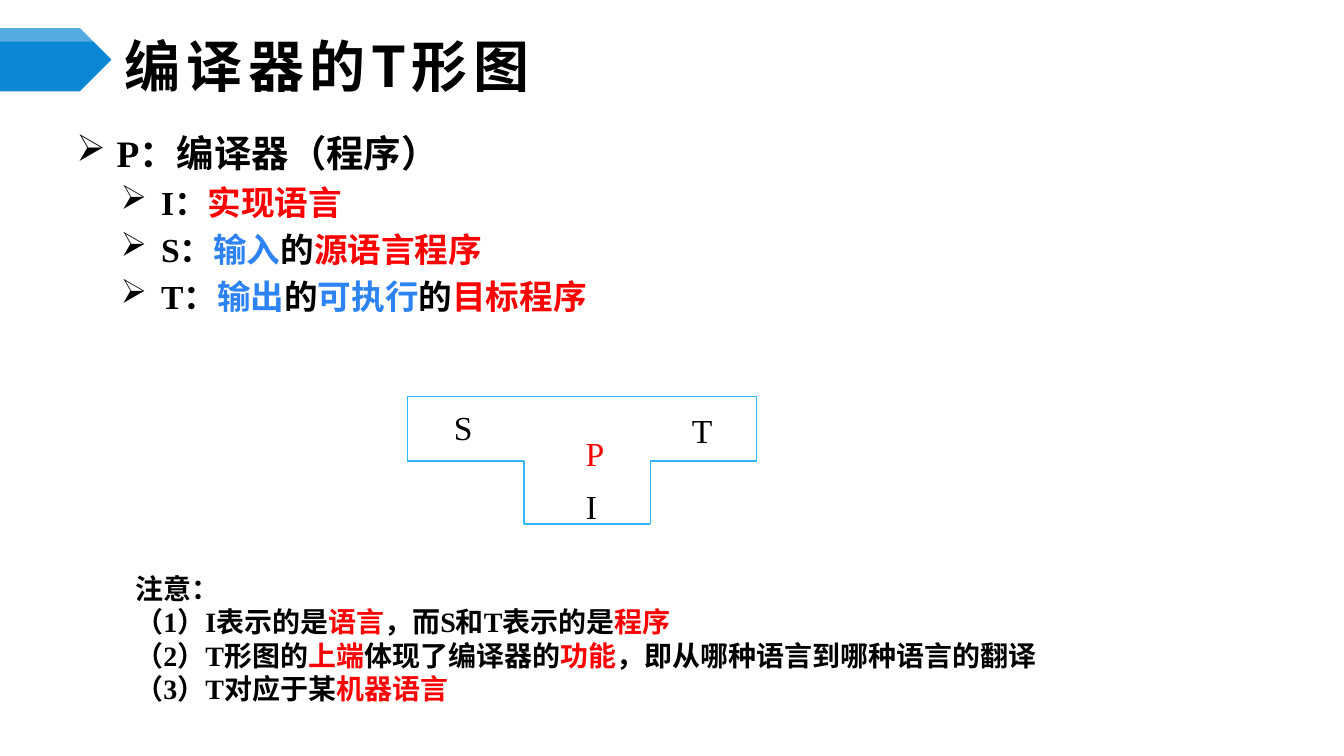
from lxml import etree
from pptx import Presentation
from pptx.dml.color import RGBColor
from pptx.enum.shapes import MSO_CONNECTOR, MSO_SHAPE
from pptx.enum.text import MSO_ANCHOR, MSO_AUTO_SIZE, PP_ALIGN
from pptx.oxml.ns import qn
from pptx.util import Emu, Pt

PX = 9144  # EMU per px, 100 px to the inch
TITLE_ONLY = 5
STRAIGHT = MSO_CONNECTOR.STRAIGHT
PENTAGON = MSO_SHAPE.PENTAGON
MIDDLE = MSO_ANCHOR.MIDDLE
NO_AUTOFIT = MSO_AUTO_SIZE.NONE
LEFT, JUSTIFY = PP_ALIGN.LEFT, PP_ALIGN.JUSTIFY

SERIF, SANS = "Times New Roman", "Noto Sans CJK SC"
NOTE_FONT = "Noto Sans"
BLACK = RGBColor(0x00, 0x00, 0x00)
RED = RGBColor(0xFF, 0x00, 0x00)
BLUE = RGBColor(0x2D, 0x83, 0xF4)
SKY = RGBColor(0x31, 0xB6, 0xFD)
BANNER = RGBColor(0x0B, 0x87, 0xD6)
WHITE = RGBColor(0xFF, 0xFF, 0xFF)

DEFINITIONS = [
    [("P：编译器（程序）", BLACK)],
    [("I：", BLACK), ("实现语言", RED)],
    [("S：", BLACK), ("输入", BLUE), ("的", BLACK), ("源语言程序", RED)],
    [("T：", BLACK), ("输出", BLUE), ("的", BLACK), ("可执行", BLUE),
     ("的", BLACK), ("目标程序", RED)],
]
NOTES = [
    [("注意：", BLACK)],
    [("（1）I表示的是", BLACK), ("语言", RED),
     ("，而S和T表示的是", BLACK), ("程序", RED)],
    [("（2）T形图的", BLACK), ("上端", RED), ("体现了编译器的", BLACK),
     ("功能", RED), ("，即从哪种语言到哪种语言的翻译", BLACK)],
    [("（3）T对应于某", BLACK), ("机器语言", RED)],
]

# Outline of the T, clockwise from its top left corner
T_OUTLINE = [(303, 295), (563, 295), (563, 343), (484, 343),
             (484, 390), (390, 390), (390, 343), (303, 343)]
T_LABELS = [("S", 328, 298, 34, BLACK), ("T", 505, 300, 36, BLACK),
            ("P", 426, 317, 34, RED), ("I", 426, 357, 29, BLACK)]


def px(*lengths):
    return [Emu(length * PX) for length in lengths]


def format_span(span, size, color, font=SERIF, bold=True):
    span.font.size = Pt(size)
    span.font.bold = bold
    span.font.name = font
    span.font.color.rgb = color
    east_asian = etree.SubElement(span.font._element, qn("a:ea"))
    east_asian.set("typeface", SANS)


def add_spans(para, spans, size, font=SERIF):
    para.line_spacing = Pt(size * 1.2)
    for text, color in spans:
        span = para.add_run()
        span.text = text
        format_span(span, size, color, font)


def add_arrow_bullet(para, indent, hanging):
    props = para._p.get_or_add_pPr()
    props.set("marL", str(indent * PX))
    props.set("indent", str(-hanging * PX))
    etree.SubElement(props, qn("a:buChar")).set("char", "➢")


def add_text_box(page, left, top, width, height, wrap=True):
    box = page.shapes.add_textbox(*px(left, top, width, height))
    box.text_frame.word_wrap = wrap
    return box.text_frame


def add_paragraphs(frame, count):
    return [frame.paragraphs[0]] + [frame.add_paragraph() for _ in range(count - 1)]


def paint(shape, color):
    shape.shadow.inherit = False
    shape.fill.solid()
    shape.fill.fore_color.rgb = color
    shape.line.fill.background()


def add_banner(page):
    paint(page.shapes.add_shape(PENTAGON, *px(0, 21, 83, 47)), BANNER)
    # Translucent highlight along the upper edge
    builder = page.shapes.build_freeform(0, 21, scale=PX)
    builder.add_line_segments([(60, 21), (70, 31), (0, 31)])
    highlight = builder.convert_to_shape()
    paint(highlight, WHITE)
    fill = highlight._element.spPr.find(qn("a:solidFill"))
    etree.SubElement(fill[0], qn("a:alpha")).set("val", "30000")


def set_title(page, text):
    title = page.shapes.title
    title.left, title.top, title.width, title.height = px(83, 29, 867, 39)
    frame = title.text_frame
    frame.text = text
    frame.auto_size = NO_AUTOFIT
    frame.vertical_anchor = MIDDLE
    para = frame.paragraphs[0]
    para.alignment = LEFT
    span = para.runs[0]
    format_span(span, 30, BLACK, SANS)
    span.font._element.set("spc", "300")


def add_definitions(page):
    frame = add_text_box(page, 47, 92, 847, 402)
    paras = add_paragraphs(frame, len(DEFINITIONS))
    for index, (para, spans) in enumerate(zip(paras, DEFINITIONS)):
        level, size, indent = (1, 18, 63) if index else (0, 20, 30)
        para.level = level
        para.alignment = JUSTIFY
        para.space_before = Pt(size * 0.2)
        add_spans(para, spans, size)
        add_arrow_bullet(para, indent, 30)


def add_line(page, start, end):
    line = page.shapes.add_connector(STRAIGHT, *px(*start, *end))
    line.line.color.rgb = SKY
    line.line.width = Pt(0.75)
    etree.SubElement(line._element.spPr, qn("a:effectLst"))


def add_t_diagram(page):
    for start, end in zip(T_OUTLINE, T_OUTLINE[1:] + T_OUTLINE[:1]):
        add_line(page, start, end)
    for text, left, top, width, color in T_LABELS:
        frame = add_text_box(page, left, top, width, 40, wrap=False)
        frame.text = text
        format_span(frame.paragraphs[0].runs[0], 18, color, bold=False)


def add_notes(page):
    frame = add_text_box(page, 91, 420, 787, 111)
    paras = add_paragraphs(frame, len(NOTES))
    for index, (para, spans) in enumerate(zip(paras, NOTES)):
        add_spans(para, spans, 15, SERIF if index else NOTE_FONT)


def main():
    deck = Presentation()
    # Widescreen page, 16 to 9
    deck.slide_width = Emu(1000 * PX)
    deck.slide_height = Emu(deck.slide_width * 9 // 16)
    page = deck.slides.add_slide(deck.slide_layouts[TITLE_ONLY])
    set_title(page, "编译器的T形图")
    add_banner(page)
    add_definitions(page)
    add_t_diagram(page)
    add_notes(page)
    deck.save("out.pptx")


if __name__ == "__main__":
    main()
